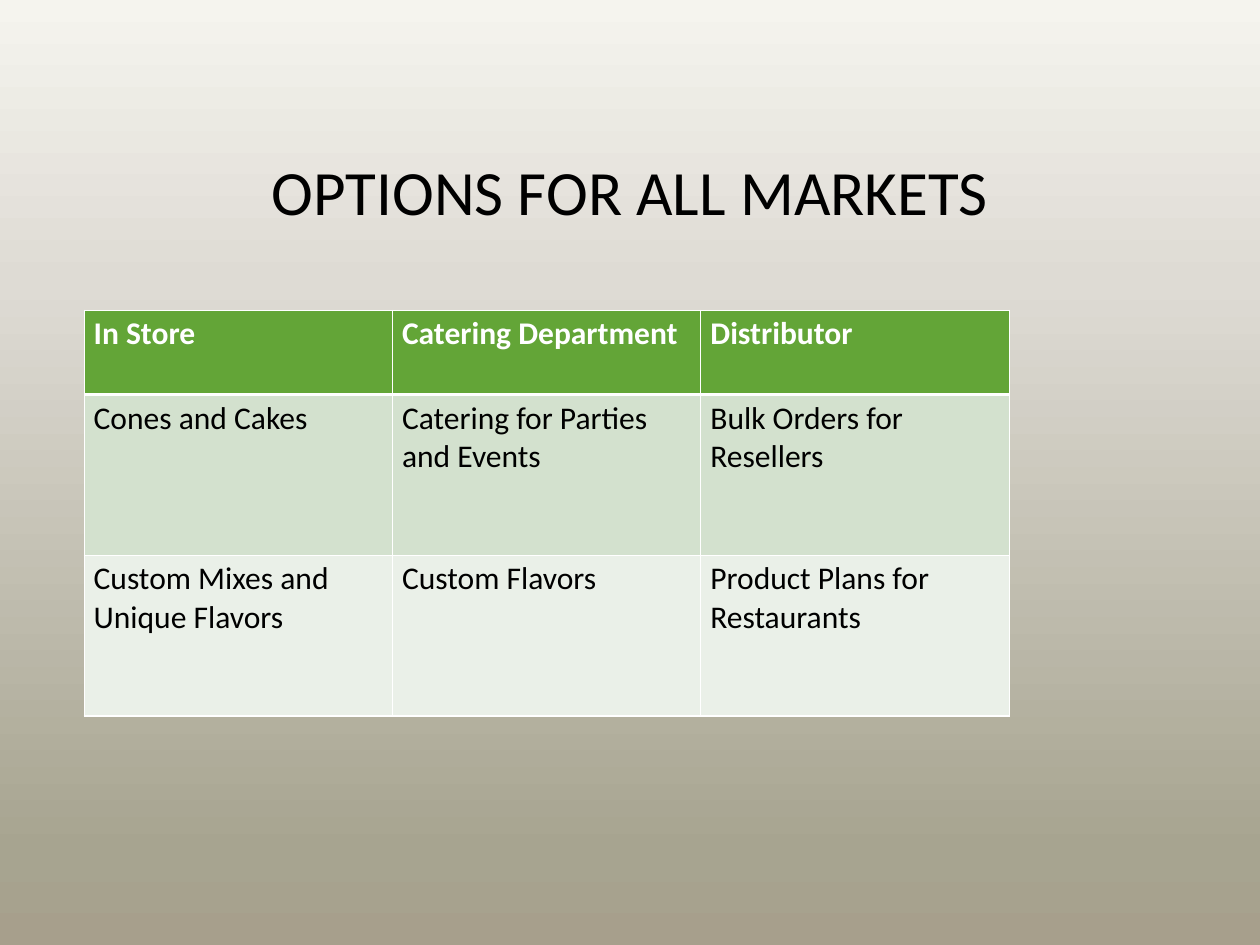
import copy

import lxml.etree
import pptx
import pptx.dml.color
import pptx.enum.text
import pptx.oxml.ns
import pptx.util

TITLE = "OPTIONS FOR ALL MARKETS"
ROWS = [
    ("In Store", "Catering Department", "Distributor"),
    ("Cones and Cakes", "Catering for Parties and Events", "Bulk Orders for Resellers"),
    ("Custom Mixes and Unique Flavors", "Custom Flavors", "Product Plans for Restaurants"),
]
FILLS = ["63A537", "D3E1CE", "EAF0E8"]
GRADIENT = [(0, "F5F4EE"), (0.3, "DEDBD4"), (0.9, "A7A490"), (1, "A79F8C")]

SIZE = (13.32, 9.99)
TITLE_BOX = (1, 0.9, 11.32, 2.33)
TABLE_AT = (0.89, 3.28)
COL_W = 3.26
ROW_H = [0.89, 1.7, 1.7]
LINE, HEADER_LINE = 1, 3

TITLE_FONT = {"name": "Calibri", "size": pptx.util.Pt(48), "bold": False}
CELL_FONT = {"name": "Calibri", "size": pptx.util.Pt(24)}


def rgb(color):
    """Turn a hex string into a colour."""
    return pptx.dml.color.RGBColor.from_string(color)


def style(font, color, values):
    """Apply a colour and a dict of values to a font."""
    font.color.rgb = rgb(color)
    for name, value in values.items():
        setattr(font, name, value)


def add_background(s):
    """Fill the slide with the vertical gradient."""
    fill = s.background.fill
    fill.gradient()
    fill.gradient_angle = 270
    stops = s.element.find(".//" + pptx.oxml.ns.qn("a:gsLst"))
    for _ in GRADIENT[2:]:
        stops.append(copy.deepcopy(stops[0]))
    for stop, (position, color) in zip(fill.gradient_stops, GRADIENT):
        stop.position = position
        stop.color.rgb = rgb(color)


def add_title(s):
    """Place and format the title placeholder."""
    sp = s.shapes.title
    sp.left, sp.top, sp.width, sp.height = map(pptx.util.Inches, TITLE_BOX)
    tf = sp.text_frame
    tf.text = TITLE
    tf.word_wrap = True
    tf.vertical_anchor = pptx.enum.text.MSO_ANCHOR.MIDDLE
    p = tf.paragraphs[0]
    p.alignment = pptx.enum.text.PP_ALIGN.CENTER
    p.line_spacing = 0.9
    style(p.runs[0].font, "000000", TITLE_FONT)


def add_borders(cell, row):
    """Draw white cell borders, thicker under the header row."""
    qn = pptx.oxml.ns.qn
    tc_pr = cell._tc.get_or_add_tcPr()
    for side in "LRTB":
        thick = (row, side) in [(0, "B"), (1, "T")]
        width = pptx.util.Pt(HEADER_LINE if thick else LINE)
        ln = lxml.etree.SubElement(tc_pr, qn("a:ln" + side), w=str(width))
        fill = lxml.etree.SubElement(ln, qn("a:solidFill"))
        lxml.etree.SubElement(fill, qn("a:srgbClr"), val="FFFFFF")


def add_options(s):
    """Add the table of options."""
    cols = len(ROWS[0])
    box = (*TABLE_AT, COL_W * cols, sum(ROW_H))
    table = s.shapes.add_table(len(ROWS), cols, *map(pptx.util.Inches, box)).table
    for i, texts in enumerate(ROWS):
        table.rows[i].height = pptx.util.Inches(ROW_H[i])
        for j, text in enumerate(texts):
            cell = table.cell(i, j)
            add_borders(cell, i)
            cell.fill.solid()
            cell.fill.fore_color.rgb = rgb(FILLS[i])
            cell.text = text
            r = cell.text_frame.paragraphs[0].runs[0]
            style(r.font, "000000" if i else "FFFFFF", {**CELL_FONT, "bold": i == 0})


def main():
    """Build the slide and save it."""
    prs = pptx.Presentation()
    prs.slide_width, prs.slide_height = map(pptx.util.Inches, SIZE)
    s = prs.slides.add_slide(prs.slide_layouts.get_by_name("Title Only"))
    add_background(s)
    add_title(s)
    add_options(s)
    prs.save("out.pptx")


if __name__ == "__main__":
    main()
